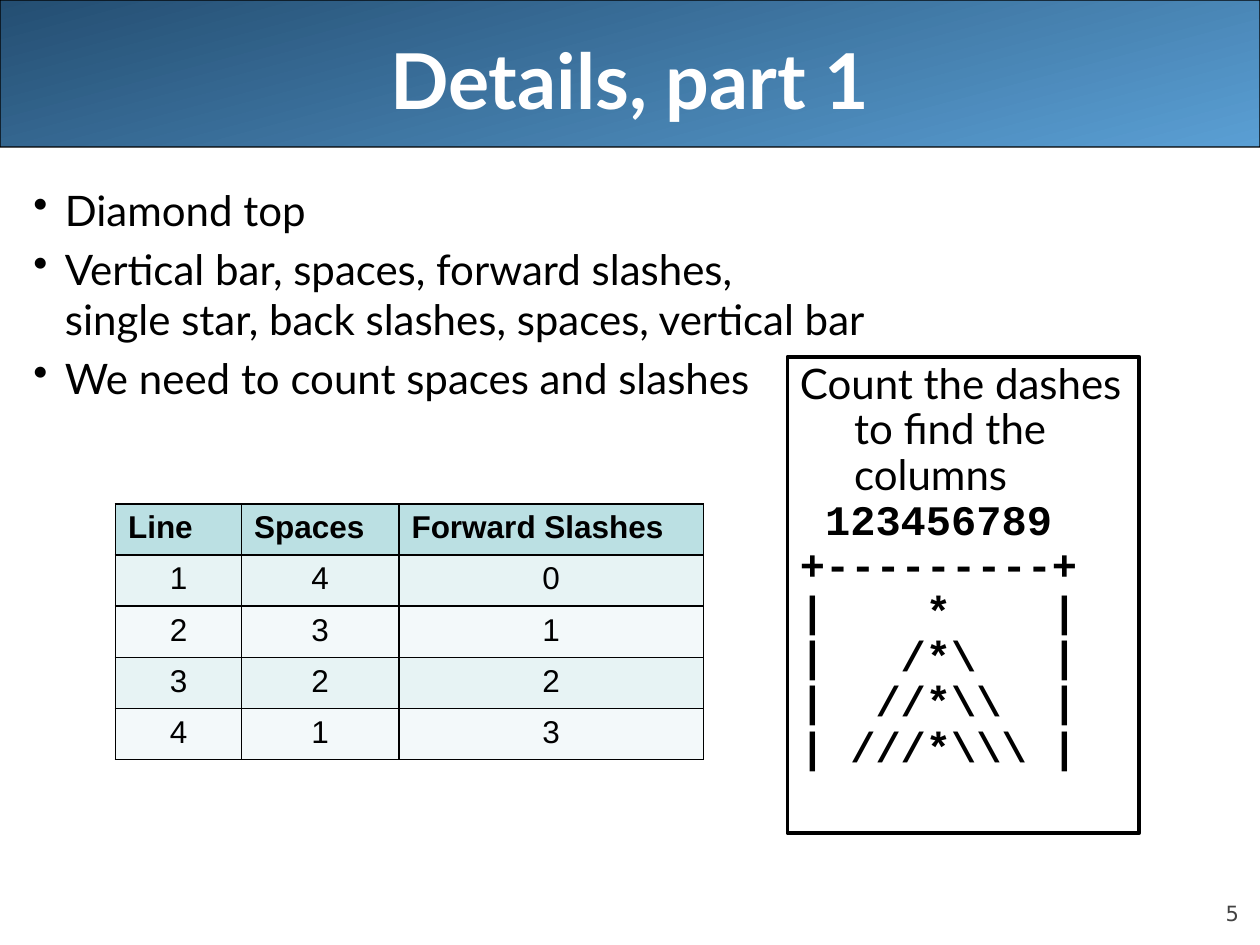
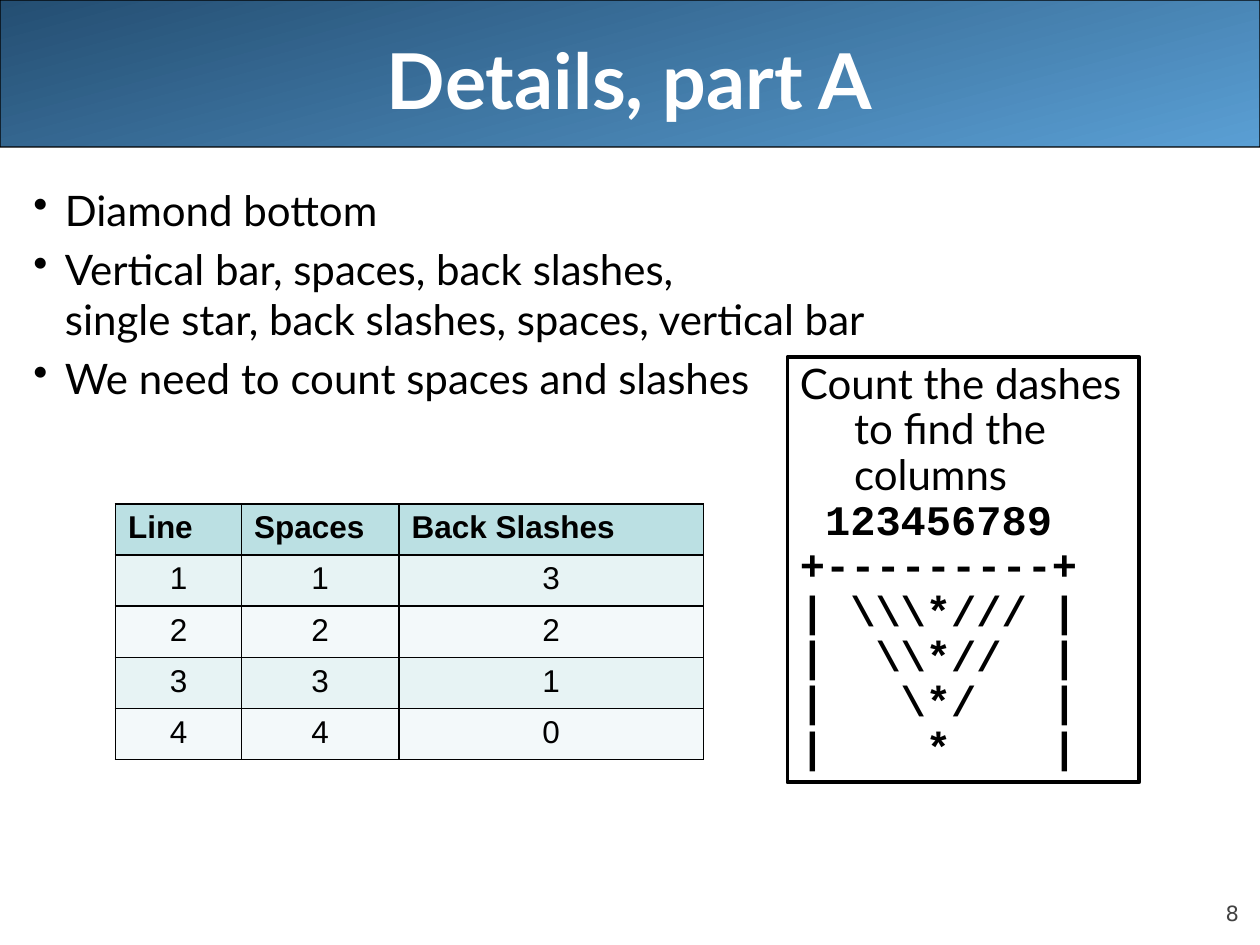
from lxml.etree import SubElement
from pptx import Presentation
from pptx.dml.color import RGBColor
from pptx.enum.shapes import MSO_SHAPE
from pptx.enum.text import MSO_ANCHOR, PP_ALIGN
from pptx.oxml.ns import qn
from pptx.util import Pt

WIDE, HIGH = 720, 540
BLACK, WHITE, GREY = "000000", "FFFFFF", "424242"
DEEP, SKY = "244E72", "5A9FD4"
HEAD, ROWS = "BBE0E3", ("E7F3F4", "F3F9FA")
SANS, CODE, CELL, FOOT = "Lato", "Courier New", "Arial", "DejaVu Sans"


def color(code):
    return RGBColor.from_string(code)


def style(para, font, size, code=BLACK, bold=False, align=PP_ALIGN.LEFT):
    para.alignment = align
    for run in para.runs:
        run.font.name = font
        run.font.size = Pt(size)
        run.font.bold = bold
        run.font.color.rgb = color(code)


def indent(para, left, first=0):
    props = para._p.get_or_add_pPr()
    props.set("marL", str(Pt(left)))
    props.set("indent", str(Pt(first)))
    return props


def text_box(slide, box, lines, anchor=MSO_ANCHOR.TOP):
    """Add a wrapped text box with one paragraph for each line."""
    shape = slide.shapes.add_textbox(*map(Pt, box))
    frame = shape.text_frame
    frame.word_wrap = True
    frame.vertical_anchor = anchor
    for i, line in enumerate(lines):
        para = frame.add_paragraph() if i else frame.paragraphs[0]
        para.text = line
    return shape


def banner(slide, box, title):
    # Gradient band
    band = slide.shapes.add_shape(MSO_SHAPE.ROUNDED_RECTANGLE, *map(Pt, box))
    band.adjustments[0] = 0.001
    band.shadow.inherit = False
    band.fill.gradient()
    band.fill.gradient_angle = 285
    for stop, code in zip(band.fill.gradient_stops, (DEEP, SKY)):
        stop.color.rgb = color(code)
    band.line.color.rgb = color(BLACK)
    band.line.width = Pt(0.75)
    # Title, reaching a little below the band
    left, top, wide, high = box
    name = text_box(slide, (left + 36, top, wide - 72, high + 6), [title],
                    MSO_ANCHOR.MIDDLE)
    style(name.text_frame.paragraphs[0], SANS, 44, WHITE, True, PP_ALIGN.CENTER)


def footer(slide, box, number):
    frame = text_box(slide, box, [str(number)], MSO_ANCHOR.BOTTOM).text_frame
    frame.margin_left = frame.margin_right = 0
    frame.margin_top = frame.margin_bottom = 0
    style(frame.paragraphs[0], FOOT, 12, GREY, align=PP_ALIGN.RIGHT)


def bullets(slide, box, lines):
    frame = text_box(slide, box, lines).text_frame
    for i, para in enumerate(frame.paragraphs):
        style(para, SANS, 24)
        para.space_before = Pt(4.8 if i else 0)
        SubElement(indent(para, 18, -18), qn("a:buChar")).set("char", "•")


def border(cell):
    props = cell._tc.get_or_add_tcPr()
    for side in ("lnL", "lnR", "lnT", "lnB"):
        line = SubElement(props, qn("a:" + side), w=str(Pt(1)))
        fill = SubElement(line, qn("a:solidFill"))
        SubElement(fill, qn("a:srgbClr"), val=BLACK)


def counts(slide, box, slash, pairs):
    rows = [("Line", "Spaces", slash)]
    rows += [(n, *pair) for n, pair in enumerate(pairs, 1)]
    grid = slide.shapes.add_table(len(rows), 3, *map(Pt, box)).table
    for col, wide in zip(grid.columns, (72, 90, 174)):
        col.width = Pt(wide)
    for r, row in enumerate(rows):
        grid.rows[r].height = Pt(box[3] / len(rows))
        for c, value in enumerate(row):
            cell = grid.cell(r, c)
            border(cell)
            cell.fill.solid()
            cell.fill.fore_color.rgb = color(ROWS[(r - 1) % 2] if r else HEAD)
            cell.text_frame.text = str(value)
            style(cell.text_frame.paragraphs[0], CELL, 18, bold=not r,
                  align=PP_ALIGN.CENTER if r else PP_ALIGN.LEFT)


def drawing(slide, box, marks, pairs):
    """Draw the half diamond that the counts describe."""
    left, right = marks
    art = []
    for gap, count in pairs:
        pad = " " * gap
        art.append(f"|{pad}{left * count}*{right * count}{pad}|")
    notes = ["Count the dashes", "to find the\ncolumns"]
    lines = notes + ["123456789", "+" + "-" * 9 + "+"] + art
    shape = text_box(slide, box, lines)
    shape.line.color.rgb = color(BLACK)
    shape.line.width = Pt(2.25)
    paras = shape.text_frame.paragraphs
    for i, para in enumerate(paras):
        code = i >= len(notes)
        style(para, CODE if code else SANS, 24, bold=code)
        para.line_spacing = 0.9
    indent(paras[1], 31)
    indent(paras[2], 14.4)


def details(deck, part, number, half, kind, marks, pairs, high):
    slide = deck.slides.add_slide(deck.slide_layouts[6])
    banner(slide, (0, 0, WIDE, 84), f"Details, part {part}")
    footer(slide, (648, 500, 60, 29), number)
    bullets(slide, (12, 102, 708, 408), [
        f"Diamond {half}",
        f"Vertical bar, spaces, {kind} slashes,\n"
        "single star, back slashes, spaces, vertical bar",
        "We need to count spaces and slashes",
    ])
    drawing(slide, (450, 204, 201, high), marks, pairs)
    counts(slide, (66, 288, 336, 146), f"{kind.title()} Slashes", pairs)


def main():
    deck = Presentation()
    deck.slide_width, deck.slide_height = Pt(WIDE), Pt(HIGH)
    # Spaces and slashes on each line of the top half
    pairs = [(4 - n, n) for n in range(4)]
    details(deck, "1", 5, "top", "forward", "/\\", pairs, 272)
    details(deck, "A", 8, "bottom", "back", "\\/", pairs[::-1], 243)
    deck.save("out.pptx")


if __name__ == "__main__":
    main()
